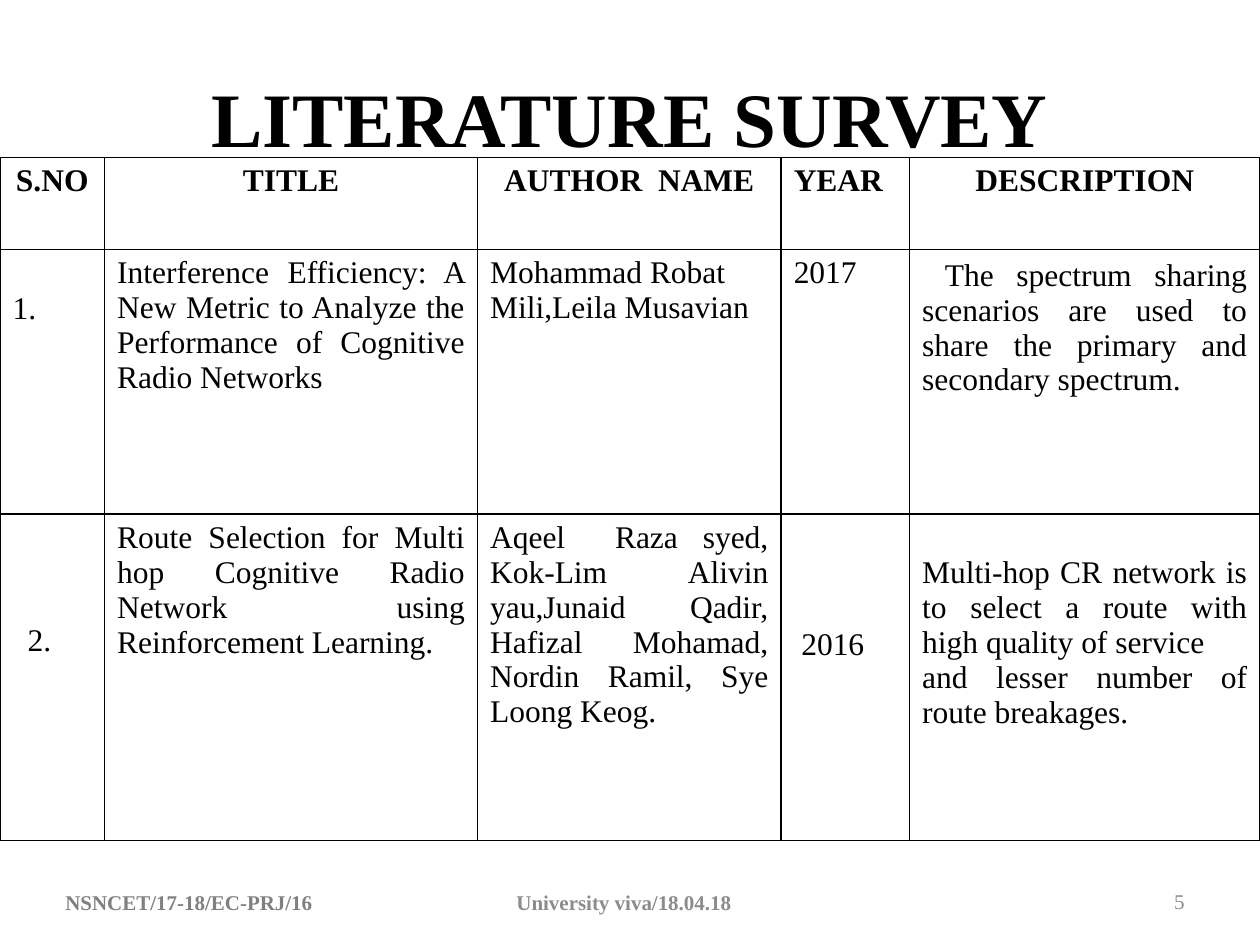
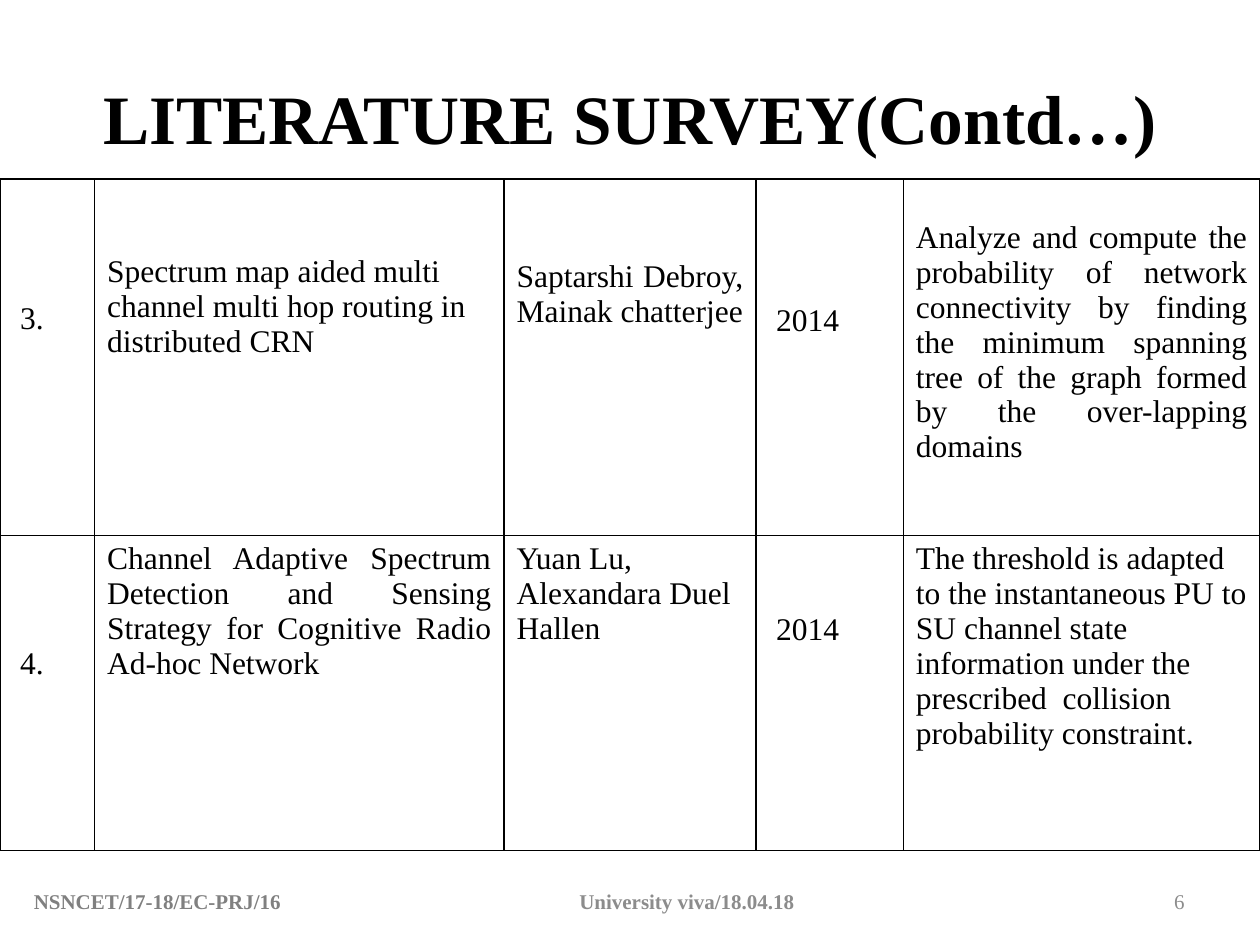
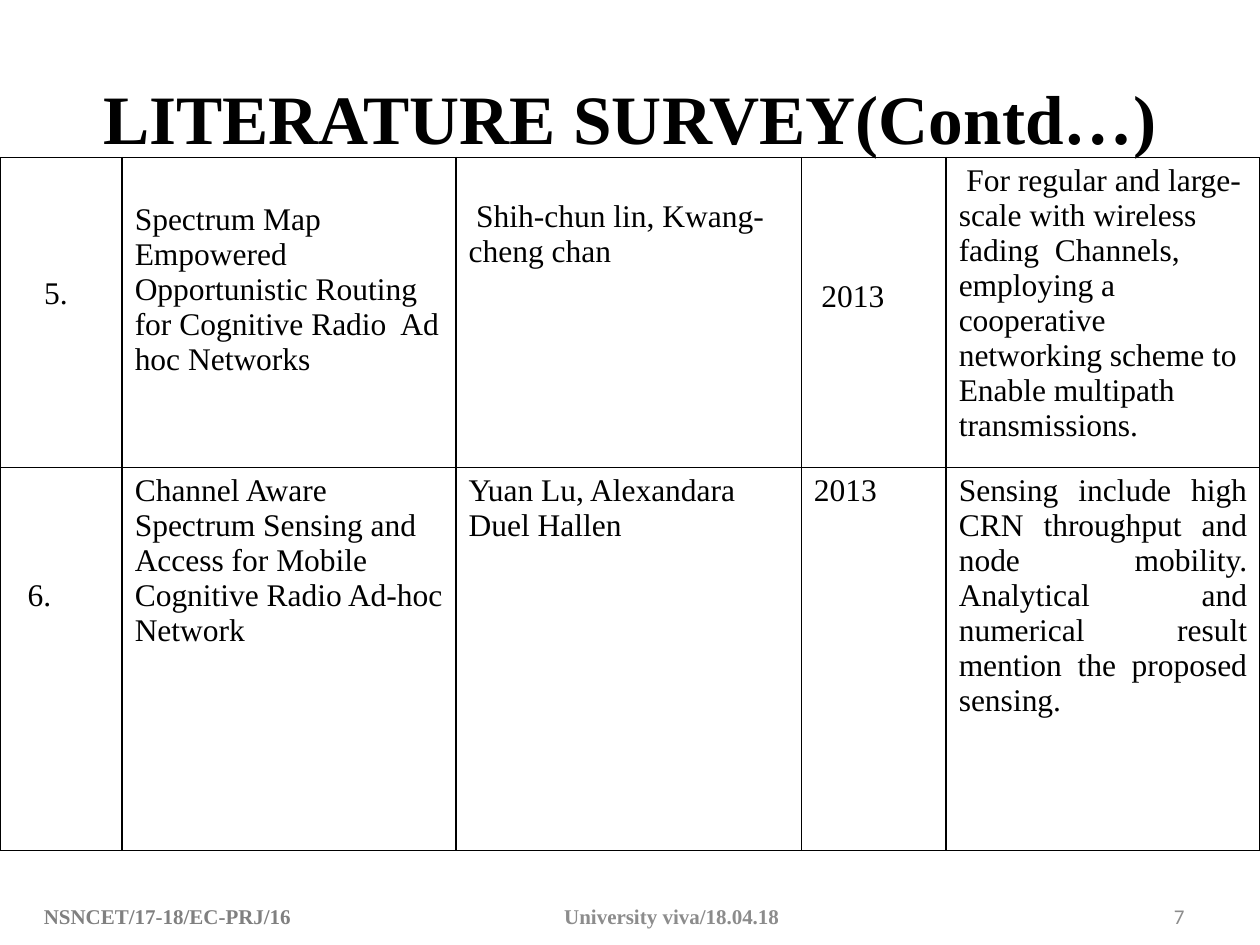
from dataclasses import dataclass

from lxml.etree import SubElement
from pptx import Presentation
from pptx.dml.color import RGBColor
from pptx.enum.text import MSO_ANCHOR as Anchor, PP_ALIGN as Align
from pptx.oxml.ns import qn
from pptx.util import Inches, Pt


@dataclass(frozen=True)
class Theme:
    font: str = "Times New Roman"
    number_font: str = "Calibri"
    ink: RGBColor = RGBColor(0x00, 0x00, 0x00)
    project_gray: RGBColor = RGBColor(0x80, 0x80, 0x80)
    footer_gray: RGBColor = RGBColor(0x8C, 0x8C, 0x8C)
    title_size: float = 44
    contd_title_size: float = 39.6
    body_size: float = 18
    footer_size: float = 12
    border_width: float = 1
    cell_margin: float = 0.05


THEME = Theme()
PROJECT = "NSNCET/17-18/EC-PRJ/16"
EVENT = "University viva/18.04.18"
CONTD_TITLE = "LITERATURE SURVEY(Contd…)"


@dataclass(frozen=True)
class Entry:
    text: str
    drop: float = 0
    indent: float = 0
    align: Align = Align.LEFT
    bold: bool = False


@dataclass(frozen=True)
class Survey:
    top: float
    columns: tuple[float, ...]
    rows: tuple[float, ...]
    entries: tuple[tuple[Entry, ...], ...]


@dataclass(frozen=True)
class Footer:
    left: float
    top: float
    width: float
    height: float
    event_tab: float
    number: str
    number_top: float = 6.95
    number_font: str = THEME.font


@dataclass(frozen=True)
class Page:
    title: str
    title_size: float
    survey: Survey
    footer: Footer


def heading(text: str, align: Align = Align.CENTER) -> Entry:
    return Entry(text, align=align, bold=True)


def justified(text: str, drop: float = 0, indent: float = 0) -> Entry:
    return Entry(text, drop, indent, Align.JUSTIFY)


PAGES = (
    Page(
        "LITERATURE SURVEY",
        THEME.title_size,
        Survey(
            1.25,
            (0.83, 2.96, 2.41, 1.02, 2.78),
            (0.73, 2.1, 2.59),
            (
                (
                    heading("S.NO"),
                    heading("TITLE"),
                    heading("AUTHOR  NAME"),
                    heading("YEAR", Align.LEFT),
                    heading("DESCRIPTION"),
                ),
                (
                    Entry("1.", 0.28),
                    justified("Interference Efficiency: A New Metric to Analyze the "
                              "Performance of Cognitive Radio Networks"),
                    Entry("Mohammad Robat Mili,Leila Musavian"),
                    Entry("2017"),
                    justified("The spectrum sharing scenarios are used to share the "
                              "primary and secondary spectrum.", 0.02, 0.18),
                ),
                (
                    Entry("2.", 0.82, 0.12),
                    justified("Route Selection for Multi hop Cognitive Radio Network "
                              "using Reinforcement Learning."),
                    justified("Aqeel  Raza syed, Kok-Lim Alivin yau,Junaid Qadir, "
                              "Hafizal Mohamad, Nordin Ramil, Sye Loong Keog."),
                    Entry("2016", 0.85, 0.06),
                    justified("Multi-hop CR network is to select a route with high "
                              "quality of service\n"
                              "and lesser number of route breakages.", 0.28),
                ),
            ),
        ),
        Footer(0.42, 6.95, 7.58, 0.42, 3.58, "5"),
    ),
    Page(
        CONTD_TITLE,
        THEME.contd_title_size,
        Survey(
            1.42,
            (0.75, 3.25, 2, 1.17, 2.83),
            (2.83, 2.5),
            (
                (
                    Entry("3.", 0.92, 0.06),
                    Entry("Spectrum map aided multi channel multi hop routing in "
                          "distributed CRN", 0.55),
                    justified("Saptarshi Debroy, Mainak chatterjee", 0.59),
                    Entry("2014", 0.94, 0.06),
                    justified("Analyze and compute the probability of network "
                              "connectivity by finding the minimum spanning tree of "
                              "the graph formed by the over-lapping domains", 0.28),
                ),
                (
                    Entry("4.", 0.83, 0.06),
                    justified("Channel Adaptive Spectrum Detection and Sensing "
                              "Strategy for Cognitive Radio Ad-hoc Network"),
                    Entry("Yuan Lu, Alexandara Duel Hallen"),
                    Entry("2014", 0.56, 0.06),
                    Entry("The threshold is adapted to the instantaneous PU to SU "
                          "channel state information under the prescribed  collision "
                          "probability constraint."),
                ),
            ),
        ),
        Footer(0.17, 6.95, 8.17, 0.4, 4.33, "6"),
    ),
    Page(
        CONTD_TITLE,
        THEME.contd_title_size,
        Survey(
            1.25,
            (0.97, 2.65, 2.74, 1.15, 2.49),
            (2.46, 3.04),
            (
                (
                    Entry("5.", 0.89, 0.25),
                    Entry("Spectrum Map Empowered Opportunistic Routing for "
                          "Cognitive Radio  Ad hoc Networks", 0.31),
                    Entry("Shih-chun lin, Kwang-cheng chan", 0.28, 0.06),
                    Entry("2013", 0.92, 0.06),
                    Entry("For regular and large-scale with wireless fading  "
                          "Channels, employing a cooperative networking scheme to  "
                          "Enable multipath transmissions.", 0, 0.06),
                ),
                (
                    Entry("6.", 0.83, 0.12),
                    Entry("Channel Aware Spectrum Sensing and Access for Mobile "
                          "Cognitive Radio Ad-hoc Network"),
                    Entry("Yuan Lu, Alexandara Duel Hallen"),
                    Entry("2013"),
                    justified("Sensing include high CRN throughput and node mobility. "
                              "Analytical  and numerical result mention the proposed "
                              "sensing."),
                ),
            ),
        ),
        Footer(0.25, 7.04, 7.5, 0.46, 4.13, "7", 7.07, THEME.number_font),
    ),
)


def style(paragraph, size: float, color: RGBColor, bold: bool = False,
          align: Align = Align.LEFT, name: str = THEME.font) -> None:
    paragraph.alignment = align
    font = paragraph.font
    font.name, font.size, font.bold = name, Pt(size), bold
    font.color.rgb = color


def draw_title(slide, text: str, size: float) -> None:
    title = slide.shapes.title
    title.left, title.top = Inches(0.5), Inches(0.3)
    title.width, title.height = Inches(9), Inches(1.25)
    title.text_frame.text = text
    title.text_frame.vertical_anchor = Anchor.MIDDLE
    style(title.text_frame.paragraphs[0], size, THEME.ink, True, Align.CENTER)


def draw_borders(cell) -> None:
    properties = cell._tc.get_or_add_tcPr()
    for side in ("a:lnL", "a:lnR", "a:lnT", "a:lnB"):
        line = SubElement(properties, qn(side), w=str(Pt(THEME.border_width)))
        fill = SubElement(line, qn("a:solidFill"))
        SubElement(fill, qn("a:srgbClr"), val=str(THEME.ink))


def fill_cell(cell, entry: Entry) -> None:
    draw_borders(cell)
    cell.fill.background()
    cell.margin_top = Inches(THEME.cell_margin + entry.drop)
    cell.text_frame.text = entry.text
    for paragraph in cell.text_frame.paragraphs:
        style(paragraph, THEME.body_size, THEME.ink, entry.bold, entry.align)
        if entry.indent:
            properties = paragraph._p.get_or_add_pPr()
            properties.set("marL", "0")
            properties.set("indent", str(Inches(entry.indent)))


def draw_survey(slide, survey: Survey) -> None:
    table = slide.shapes.add_table(
        len(survey.rows), len(survey.columns), Inches(0), Inches(survey.top),
        Inches(sum(survey.columns)), Inches(sum(survey.rows))).table
    table.first_row = table.horz_banding = False
    for column, width in zip(table.columns, survey.columns):
        column.width = Inches(width)
    for row, height, entries in zip(table.rows, survey.rows, survey.entries):
        row.height = Inches(height)
        for cell, entry in zip(row.cells, entries):
            fill_cell(cell, entry)


def add_footer_box(slide, left: float, top: float, width: float, height: float):
    box = slide.shapes.add_textbox(
        Inches(left), Inches(top), Inches(width), Inches(height))
    box.text_frame.word_wrap = True
    box.text_frame.vertical_anchor = Anchor.MIDDLE
    return box.text_frame.paragraphs[0]


def draw_footer(slide, footer: Footer) -> None:
    paragraph = add_footer_box(
        slide, footer.left, footer.top, footer.width, footer.height)
    style(paragraph, THEME.footer_size, THEME.project_gray, True)
    properties = paragraph._p.get_or_add_pPr()
    tabs = properties.makeelement(qn("a:tabLst"))
    SubElement(tabs, qn("a:tab"), pos=str(Inches(footer.event_tab)), algn="l")
    properties.insert(0, tabs)
    paragraph.add_run().text = PROJECT
    event = paragraph.add_run()
    event.text = "\t" + EVENT
    event.font.color.rgb = THEME.footer_gray

    number = add_footer_box(slide, 7.17, footer.number_top, 2.33, 0.4)
    number.text = footer.number
    style(number, THEME.footer_size, THEME.footer_gray,
          align=Align.RIGHT, name=footer.number_font)


def main() -> None:
    presentation = Presentation()
    presentation.slide_width, presentation.slide_height = Inches(10), Inches(7.5)
    title_only = presentation.slide_layouts[5]
    for page in PAGES:
        slide = presentation.slides.add_slide(title_only)
        draw_title(slide, page.title, page.title_size)
        draw_survey(slide, page.survey)
        draw_footer(slide, page.footer)
    presentation.save("out.pptx")


if __name__ == "__main__":
    main()
